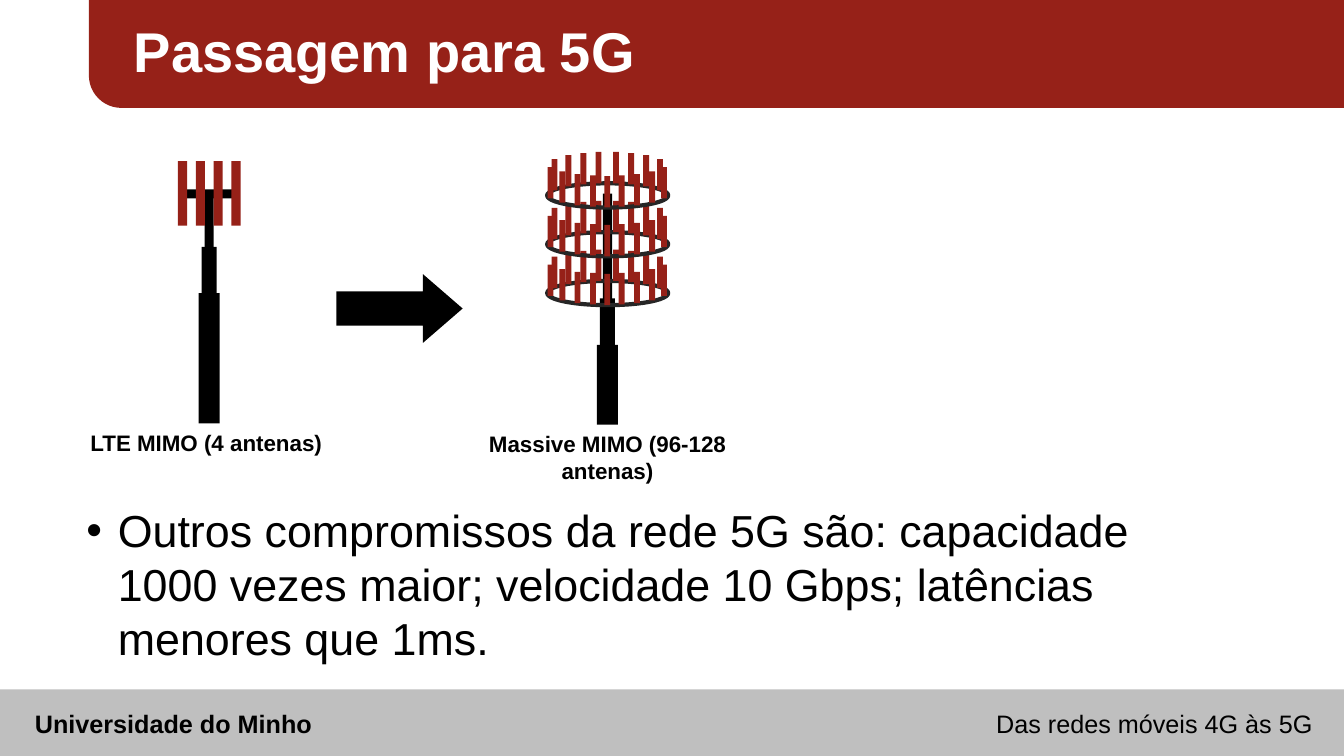
from lxml import etree
from pptx import Presentation
from pptx import util as u
from pptx.dml import color
from pptx.enum import shapes, text
from pptx.oxml import ns

COLORS = {"red": "962118", "grey": "BFBFBF", "black": "000000",
          "white": "FFFFFF", "ring": "262626"}
SHAPE = shapes.MSO_SHAPE
ALIGN = text.PP_ALIGN
HALF_RING_RODS = [(0.36, -0.2), (0.75, -0.23), (1.13, -0.3), (1.43, -0.41),
                  (1.33, -0.61), (0.98, -0.71), (0.6, -0.76), (0.22, -0.79)]
RING_RODS = [(0, -0.18)] + [(side * x, y) for side in (1, -1) for x, y in HALF_RING_RODS]


def rgb(name):
    return color.RGBColor.from_string(COLORS[name])


def cm(box):
    return [u.Cm(length) for length in box]


def draw(parent, preset, box, fill=None, line=None, adjustments=()):
    part = parent.add_shape(preset, *cm(box))
    part.shadow.inherit = False
    for index, value in enumerate(adjustments):
        part.adjustments[index] = value
    if fill:
        part.fill.solid()
        part.fill.fore_color.rgb = rgb(fill)
    else:
        part.fill.background()
    if line:
        part.line.color.rgb = rgb(line)
        part.line.width = u.Pt(3)
    else:
        part.line.fill.background()
    return part


def write(holder, runs, size, hue="black", align=ALIGN.LEFT):
    frame = holder.text_frame
    layout = {"word_wrap": True, "vertical_anchor": text.MSO_ANCHOR.TOP,
              "auto_size": text.MSO_AUTO_SIZE.NONE}
    for key, value in layout.items():
        setattr(frame, key, value)
    paragraph = frame.paragraphs[0]
    paragraph.alignment = align
    for words, bold in runs:
        run = paragraph.add_run()
        run.text = words
        for key, value in {"name": "Arial", "size": u.Pt(size), "bold": bold}.items():
            setattr(run.font, key, value)
        run.font.color.rgb = rgb(hue)
    return paragraph


def header(slide, box):
    left, top, width, height = box
    banner = draw(slide.shapes, SHAPE.ROUND_2_DIAG_RECTANGLE, box, "red",
                  adjustments=(0, 0.184))
    title = slide.shapes.title
    banner._element.addnext(title._element)
    place = cm((left + 0.88, top + 2.03, 20.09, 1.96))
    for key, value in zip(("left", "top", "width", "height"), place):
        setattr(title, key, value)
    write(title, [("Passagem para 5G", True)], 40, "white")


def commitments(slide, box):
    body = slide.shapes.add_textbox(*cm(box))
    paragraph = write(body, [("Outros compromissos da rede 5G são: capacidade 1000 vezes "
                              "maior; velocidade 10 Gbps; latências menores que 1ms.", False)], 32)
    properties = paragraph._p.get_or_add_pPr()
    properties.set("marL", str(u.Cm(0.79)))
    properties.set("indent", str(u.Cm(-0.79)))
    etree.SubElement(properties, ns.qn("a:buFont"), typeface="Arial")
    etree.SubElement(properties, ns.qn("a:buChar"), char="•")


def footer(slide, box):
    left, top, width, height = box
    draw(slide.shapes, SHAPE.RECTANGLE, box, "grey")
    credits = slide.shapes.add_textbox(*cm((left + 0.63, top + 0.36, width - 0.95, 1.02)))
    paragraph = write(credits, [("Universidade do Minho", True),
                                ("\tDas redes móveis 4G às 5G", False)], 18)
    tabs = etree.SubElement(paragraph._p.get_or_add_pPr(), ns.qn("a:tabLst"))
    etree.SubElement(tabs, ns.qn("a:tab"), pos=str(u.Cm(32.2)), algn="r")


def mast(parts, center, top, segments):
    for width, offset, height in segments:
        draw(parts, SHAPE.RECTANGLE, (center - width / 2, top + offset, width, height), "black")


def caption(parts, box, words, align):
    label = parts.add_textbox(*cm(box))
    write(label, [(words, True)], 16, align=align)


def lte_antenna(slide, box):
    left, top, width, height = box
    center = left + width / 2
    parts = slide.shapes.add_group_shape().shapes
    mast(parts, center, top, [(0.53, 3.53, 3.28), (0.38, 2.36, 1.83),
                              (0.23, 1.02, 1.83), (1.52, 0.91, 0.23)])
    for index in range(4):
        rod_left = center + (index - 1.5) * 0.45 - 0.11
        draw(parts, SHAPE.RECTANGLE, (rod_left, top + 0.2, 0.23, 1.63), "red")
    caption(parts, (left, top + 6.83, width, 0.94), "LTE MIMO (4 antenas)", ALIGN.LEFT)


def massive_antenna(slide, box):
    left, top, width, height = box
    center = left + width / 2
    parts = slide.shapes.add_group_shape().shapes
    mast(parts, center, top, [(0.53, 4.83, 2.01), (0.38, 3.66, 1.83), (0.23, 1.02, 3)])
    for level in (2, 1, 0):
        ring_top = top + 0.76 + level * 1.23
        draw(parts, SHAPE.OVAL, (center - 1.52, ring_top, 3.05, 0.61), line="ring")
        for x, y in RING_RODS:
            draw(parts, SHAPE.RECTANGLE, (center + x - 0.08, ring_top + y, 0.15, 0.79), "red")
    caption(parts, (left, top + 6.86, width, 1.63), "Massive MIMO (96-128 antenas)",
            ALIGN.CENTER)


def main():
    deck = Presentation()
    deck.slide_width, deck.slide_height = cm((33.87, 19.05))
    slide = deck.slides.add_slide(deck.slide_layouts[5])
    header(slide, (2.24, -1.75, 31.75, 4.47))
    commitments(slide, (1.93, 12.55, 29.16, 4.37))
    footer(slide, (0, 17.37, 33.87, 1.68))
    lte_antenna(slide, (2.03, 3.86, 6.48, 7.77))
    massive_antenna(slide, (12.07, 3.86, 6.48, 8.49))
    draw(slide.shapes, SHAPE.RIGHT_ARROW, (8.48, 6.91, 3.18, 1.73), "black",
         adjustments=(0.5, 0.578))
    deck.save("out.pptx")


if __name__ == "__main__":
    main()
